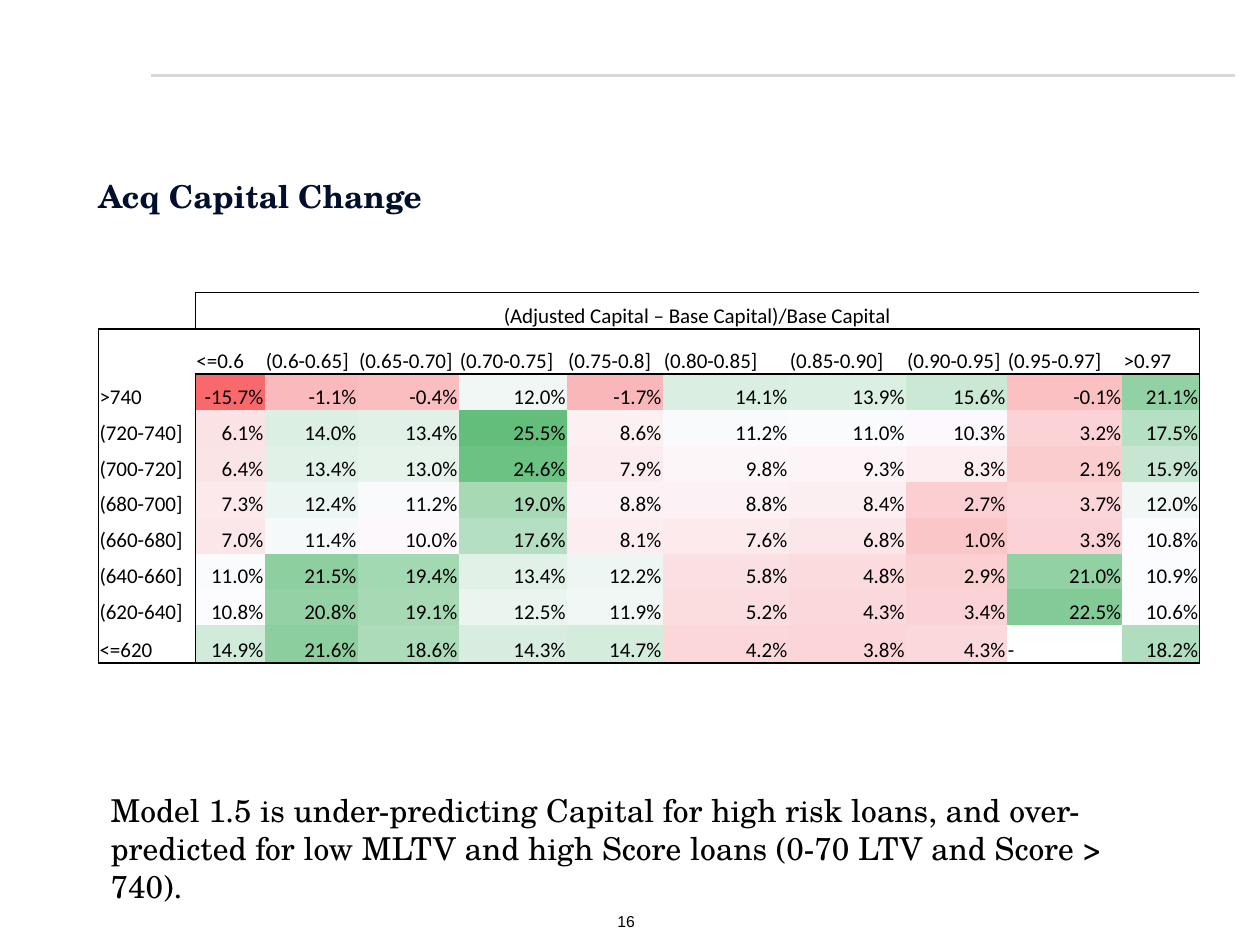
"""Build the capital change heat-map slide."""
from lxml import etree
from pptx import Presentation
from pptx.dml.color import RGBColor
from pptx.enum.shapes import MSO_CONNECTOR
from pptx.enum.text import MSO_ANCHOR, PP_ALIGN
from pptx.oxml.ns import qn
from pptx.util import Inches, Pt

LEFT, CENTER, RIGHT = PP_ALIGN.LEFT, PP_ALIGN.CENTER, PP_ALIGN.RIGHT
BOTTOM = MSO_ANCHOR.BOTTOM
STRAIGHT = MSO_CONNECTOR.STRAIGHT

COLORS = {"text": "000000", "title": "000F2B", "rule": "D9D7DC",
          "low": "F8696B", "middle": "FCFCFF", "high": "63BE7B"}
SERIF, SANS, PLAIN = "TeX Gyre Schola", "Calibri", "Arial"

TITLE = "Acq Capital Change"
COMMENT = ("Model 1.5 is under-predicting Capital for high risk loans, and over-predicted "
           "for low MLTV and high Score loans (0-70 LTV and Score > 740).")
PAGE_NUMBER = "16"
TABLE_TITLE = "(Adjusted Capital – Base Capital)/Base Capital"
LTV_BANDS = ["<=0.6", "(0.6-0.65]", "(0.65-0.70]", "(0.70-0.75]", "(0.75-0.8]",
             "(0.80-0.85]", "(0.85-0.90]", "(0.90-0.95]", "(0.95-0.97]", ">0.97"]
CHANGES = {
    ">740": [-15.7, -1.1, -0.4, 12.0, -1.7, 14.1, 13.9, 15.6, -0.1, 21.1],
    "(720-740]": [6.1, 14.0, 13.4, 25.5, 8.6, 11.2, 11.0, 10.3, 3.2, 17.5],
    "(700-720]": [6.4, 13.4, 13.0, 24.6, 7.9, 9.8, 9.3, 8.3, 2.1, 15.9],
    "(680-700]": [7.3, 12.4, 11.2, 19.0, 8.8, 8.8, 8.4, 2.7, 3.7, 12.0],
    "(660-680]": [7.0, 11.4, 10.0, 17.6, 8.1, 7.6, 6.8, 1.0, 3.3, 10.8],
    "(640-660]": [11.0, 21.5, 19.4, 13.4, 12.2, 5.8, 4.8, 2.9, 21.0, 10.9],
    "(620-640]": [10.8, 20.8, 19.1, 12.5, 11.9, 5.2, 4.3, 3.4, 22.5, 10.6],
    "<=620": [14.9, 21.6, 18.6, 14.3, 14.7, 4.2, 3.8, 4.3, None, 18.2],
}
COLUMN_WIDTHS = [0.77, 0.55, 0.74, 0.8, 0.86, 0.76, 1, 0.93, 0.8, 0.92, 0.61]
ROW_HEIGHTS = [0.29, 0.36] + [0.285] * 7 + [0.3]
LOWEST, MIDDLE, HIGHEST = -15.7, 10.8, 25.5
LAST_ROW, LAST_COLUMN = len(ROW_HEIGHTS) - 1, len(COLUMN_WIDTHS) - 1


def set_all(target, values):
    for name, value in values.items():
        setattr(target, name, value)


def write(frame, text, size, font, color="text", align=LEFT, bold=False, spacing=1.0):
    paragraph = frame.paragraphs[0]
    set_all(paragraph, {"alignment": align, "line_spacing": spacing})
    run = paragraph.add_run()
    run.text = text
    set_all(run.font, {"size": Pt(size), "name": font, "bold": bold})
    run.font.color.rgb = RGBColor.from_string(COLORS[color])


def add_text(slide, box, margins, *arguments, **formats):
    frame = slide.shapes.add_textbox(*map(Inches, box)).text_frame
    names = ("margin_left", "margin_top", "margin_right", "margin_bottom")
    set_all(frame, {"word_wrap": True, **dict(zip(names, map(Inches, margins)))})
    write(frame, *arguments, **formats)


def heat_color(value):
    if value < MIDDLE:
        start, end, share = "low", "middle", (value - LOWEST) / (MIDDLE - LOWEST)
    else:
        start, end, share = "middle", "high", (value - MIDDLE) / (HIGHEST - MIDDLE)
    pairs = zip(RGBColor.from_string(COLORS[start]), RGBColor.from_string(COLORS[end]))
    return RGBColor(*(round(first + (last - first) * share) for first, last in pairs))


def border_sides(row, column):
    """Tell which sides of a cell carry a line."""
    label = column == 0
    return {
        "L": (label and row > 0) or (column == 1 and row != 1),
        "R": column == LAST_COLUMN or (label and row != 1),
        "T": row == 1 or (row in (0, 2) and not label),
        "B": row in (0, LAST_ROW) or (row == 1 and not label),
    }


def draw_borders(cell, sides):
    properties = cell._tc.get_or_add_tcPr()
    for index, (side, shown) in enumerate(sides.items()):
        line = etree.Element(qn(f"a:ln{side}"), w=str(Pt(1) if shown else 0))
        fill = etree.SubElement(line, qn("a:solidFill" if shown else "a:noFill"))
        if shown:
            etree.SubElement(fill, qn("a:srgbClr"), val=COLORS["text"])
        properties.insert(index, line)


def cell_content(row, column):
    """Return the text, alignment and number behind a cell."""
    if row == 0:
        return (TABLE_TITLE if column == 1 else ""), CENTER, None
    if row == 1:
        return ([""] + LTV_BANDS)[column], LEFT, None
    band, values = list(CHANGES.items())[row - 2]
    if column == 0:
        return band, LEFT, None
    value = values[column - 1]
    return ("-", LEFT, None) if value is None else (f"{value:.1f}%", RIGHT, value)


def add_heat_map(slide):
    box = (0.78, 2.32, sum(COLUMN_WIDTHS), sum(ROW_HEIGHTS))
    table = slide.shapes.add_table(LAST_ROW + 1, LAST_COLUMN + 1, *map(Inches, box)).table
    set_all(table, {"first_row": False, "horz_banding": False})
    for column, width in zip(table.columns, COLUMN_WIDTHS):
        column.width = Inches(width)
    for row, height in zip(table.rows, ROW_HEIGHTS):
        row.height = Inches(height)
    table.cell(0, 1).merge(table.cell(0, LAST_COLUMN))
    edge = Inches(0.01)
    for row in range(LAST_ROW + 1):
        for column in range(LAST_COLUMN + 1):
            cell = table.cell(row, column)
            text, align, value = cell_content(row, column)
            set_all(cell, {"vertical_anchor": BOTTOM, "margin_left": edge,
                           "margin_right": edge, "margin_top": edge, "margin_bottom": 0})
            if text:
                write(cell.text_frame, text, 12, SANS, align=align)
            else:
                paragraph = cell.text_frame.paragraphs[0]._p
                paragraph.get_or_add_endParaRPr().set("sz", "1200")
            if value is None:
                cell.fill.background()
            else:
                cell.fill.solid()
                cell.fill.fore_color.rgb = heat_color(value)
            draw_borders(cell, border_sides(row, column))


presentation = Presentation()
set_all(presentation, {"slide_width": Inches(10), "slide_height": Inches(7.5)})
slide = presentation.slides.add_slide(presentation.slide_layouts[6])

rule = slide.shapes.add_connector(STRAIGHT, *map(Inches, (1.2, 0.6, 9.8, 0.6)))
rule.line.width = Pt(1.5)
rule.line.color.rgb = RGBColor.from_string(COLORS["rule"])
etree.SubElement(rule._element.spPr, qn("a:effectLst"))

add_text(slide, (4.52, 7.2, 0.9, 0.23), (0.07, 0.04, 0.07, 0.04),
         PAGE_NUMBER, 9, PLAIN, align=CENTER)
add_text(slide, (0.78, 1.39, 9.01, 0.35), (0, 0.05, 0.1, 0.05),
         TITLE, 18, SERIF, color="title", bold=True, spacing=0.9)
add_text(slide, (0.78, 6.23, 8.52, 0.71), (0.1, 0.05, 0.1, 0.05), COMMENT, 18, SERIF)
add_heat_map(slide)

presentation.save("out.pptx")
